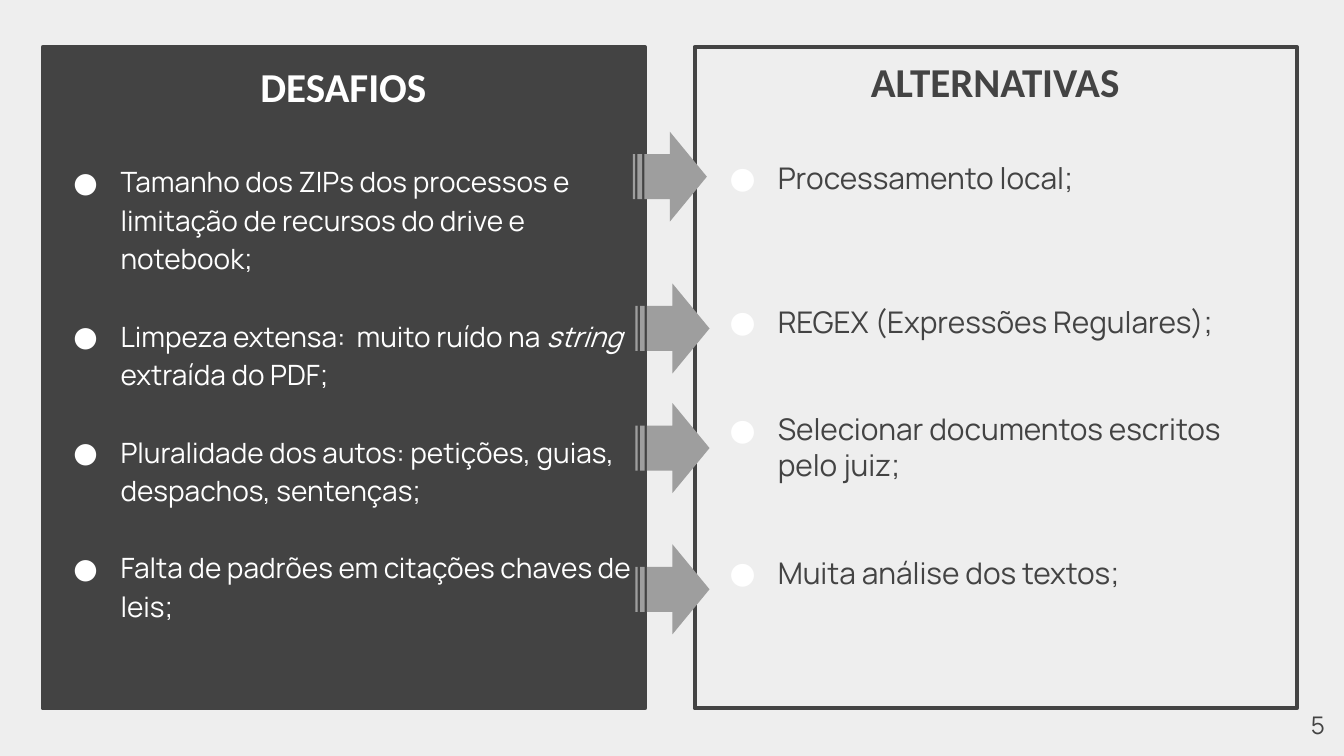
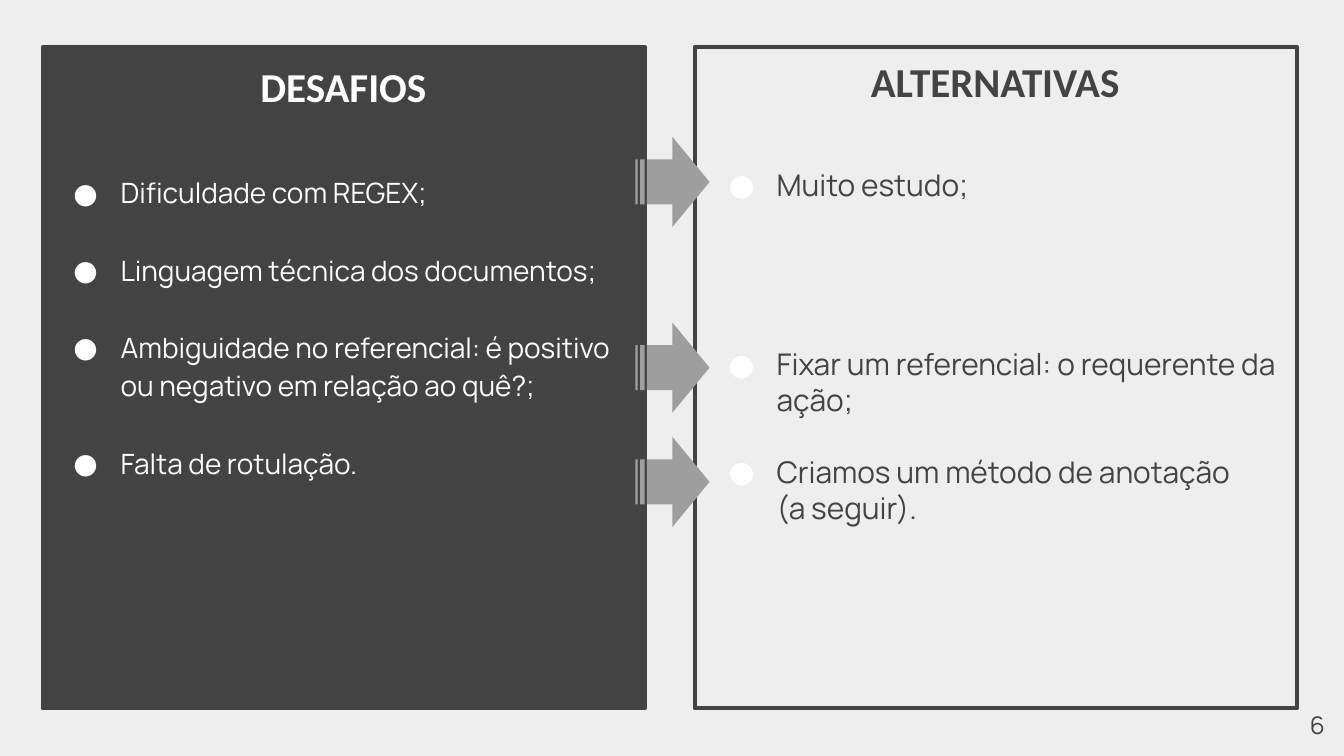
from dataclasses import dataclass

from lxml import etree
from pptx import Presentation
from pptx.dml.color import RGBColor
from pptx.enum.shapes import MSO_SHAPE
from pptx.enum.text import MSO_ANCHOR, PP_ALIGN
from pptx.oxml.ns import qn
from pptx.util import Cm, Pt

RECTANGLE = MSO_SHAPE.RECTANGLE
STRIPED_ARROW = MSO_SHAPE.STRIPED_RIGHT_ARROW
TOP, BOTTOM = MSO_ANCHOR.TOP, MSO_ANCHOR.BOTTOM
LEFT, CENTER, RIGHT = PP_ALIGN.LEFT, PP_ALIGN.CENTER, PP_ALIGN.RIGHT

PALE = RGBColor(0xEE, 0xEE, 0xEE)
DARK = RGBColor(0x43, 0x43, 0x43)
GREY = RGBColor(0x9E, 0x9E, 0x9E)
WHITE = RGBColor(0xFF, 0xFF, 0xFF)
TITLE_FONT = "Calibri"
BODY_FONT = "Manrope"
INSET = 0.25
TEXT_INDENT = Cm(1.27)
PANEL_TOP, PANEL_WIDTH, PANEL_HEIGHT = 0.89, 11.38, 12.5
ARROW_WIDTH, ARROW_HEIGHT = 1.4, 1.7


@dataclass(frozen=True)
class Box:
    """A frame in centimetres."""
    left: float
    top: float
    width: float
    height: float

    def emu(self) -> tuple:
        return Cm(self.left), Cm(self.top), Cm(self.width), Cm(self.height)


@dataclass(frozen=True)
class Style:
    size: int
    color: RGBColor
    font: str = BODY_FONT
    bold: bool = False


@dataclass(frozen=True)
class Column:
    title: str
    title_box: Box
    title_style: Style
    panel_left: float
    filled: bool
    item_style: Style
    hanging: float
    line_spacing: float
    line_pitch: float


@dataclass(frozen=True)
class Item:
    """A list entry; gap counts the free lines above it."""
    text: str
    gap: int = 0
    emphasis: str = ""
    tail: str = ""
    bullet: bool = True


@dataclass(frozen=True)
class ItemList:
    box: Box
    items: tuple
    inset_top: float = INSET


@dataclass(frozen=True)
class Arrow:
    top: float
    left: float = 12.01


@dataclass(frozen=True)
class Page:
    number: int
    challenges: ItemList
    alternatives: ItemList
    arrows: tuple


CHALLENGES = Column(
    "DESAFIOS", Box(3.25, 0.84, 6.48, 1.5), Style(22, WHITE, TITLE_FONT, True),
    0.81, True, Style(15, WHITE), 0.89, 1.15, 20.7)
ALTERNATIVES = Column(
    "ALTERNATIVAS", Box(15.57, 0.94, 6.48, 1.3), Style(22, DARK, TITLE_FONT, True),
    13.13, False, Style(16, DARK), 0.91, 1.0, 19.25)
NUMBER_BOX = Box(23.77, 13.18, 1.52, 1.09)
NUMBER_STYLE = Style(13, DARK)

PAGES = (
    Page(
        5,
        ItemList(Box(0.76, 2.77, 11.43, 11.05), (
            Item("Tamanho dos ZIPs dos processos e limitação de recursos do drive e notebook;"),
            Item("Limpeza extensa:  muito ruído na ", 1, "string", " extraída do PDF;"),
            Item("Pluralidade dos autos: petições, guias, despachos, sentenças;", 1),
            Item("Falta de padrões em citações chaves de leis;", 1),
        )),
        ItemList(Box(13.18, 2.77, 11.28, 10.77), (
            Item("Processamento local;"),
            Item("REGEX (Expressões Regulares);", 3),
            Item("Selecionar documentos escritos pelo juiz;", 2),
            Item("Muita análise dos textos;", 2),
        )),
        (Arrow(2.49, 11.96), Arrow(5.36), Arrow(7.62), Arrow(10.29)),
    ),
    Page(
        6,
        ItemList(Box(0.76, 2.34, 11.43, 11.05), (
            Item("Dificuldade com REGEX;"),
            Item("Linguagem técnica dos documentos;", 1),
            Item("Ambiguidade no referencial: é positivo ou negativo em relação ao quê?;", 1),
            Item("Falta de rotulação.", 1),
        ), inset_top=0.89),
        ItemList(Box(13.16, 2.9, 11.43, 10.24), (
            Item("Muito estudo;"),
            Item("Fixar um referencial: o requerente da ação;", 4),
            Item("Criamos um método de anotação", 1),
            Item("(a seguir).", bullet=False),
        )),
        (Arrow(8.26), Arrow(6.1), Arrow(2.59)),
    ),
)


def add_run(p, text: str, style: Style, italic: bool = False) -> None:
    r = p.add_run()
    r.text = text
    r.font.name = style.font
    r.font.size = Pt(style.size)
    r.font.bold = style.bold
    r.font.italic = italic
    r.font.color.rgb = style.color


def add_text_frame(s, box: Box, anchor=TOP, inset_top: float = INSET):
    tf = s.shapes.add_textbox(*box.emu()).text_frame
    tf.word_wrap = True
    tf.vertical_anchor = anchor
    tf.margin_left = tf.margin_right = tf.margin_bottom = Cm(INSET)
    tf.margin_top = Cm(inset_top)
    return tf


def add_label(s, text: str, box: Box, style: Style, align, anchor=TOP) -> None:
    p = add_text_frame(s, box, anchor).paragraphs[0]
    p.alignment = align
    add_run(p, text, style)


def indent(p, hanging: float, bullet: bool) -> None:
    """Set the text indent and, for a bulleted entry, its white dot."""
    pPr = p._p.get_or_add_pPr()
    pPr.set("marL", str(TEXT_INDENT))
    pPr.set("indent", str(-Cm(hanging) if bullet else 0))
    if bullet:
        color = etree.SubElement(pPr, qn("a:buClr"))
        etree.SubElement(color, qn("a:srgbClr"), val=str(WHITE))
        etree.SubElement(pPr, qn("a:buFont"), typeface=BODY_FONT)
        etree.SubElement(pPr, qn("a:buChar"), char="●")


def add_items(s, column: Column, item_list: ItemList) -> None:
    tf = add_text_frame(s, item_list.box, inset_top=item_list.inset_top)
    for i, item in enumerate(item_list.items):
        p = tf.add_paragraph() if i else tf.paragraphs[0]
        p.alignment = LEFT
        p.line_spacing = column.line_spacing
        p.space_before = Pt(item.gap * column.line_pitch)
        indent(p, column.hanging, item.bullet)
        add_run(p, item.text, column.item_style)
        if item.emphasis:
            add_run(p, item.emphasis, column.item_style, italic=True)
            add_run(p, item.tail, column.item_style)


def add_panel(s, column: Column) -> None:
    box = Box(column.panel_left, PANEL_TOP, PANEL_WIDTH, PANEL_HEIGHT)
    sp = s.shapes.add_shape(RECTANGLE, *box.emu())
    sp.shadow.inherit = False
    if column.filled:
        sp.fill.solid()
        sp.fill.fore_color.rgb = DARK
    else:
        sp.fill.background()
    sp.line.color.rgb = DARK
    sp.line.width = Pt(2.25)


def add_arrow(s, arrow: Arrow) -> None:
    box = Box(arrow.left, arrow.top, ARROW_WIDTH, ARROW_HEIGHT)
    sp = s.shapes.add_shape(STRIPED_ARROW, *box.emu())
    sp.shadow.inherit = False
    sp.fill.solid()
    sp.fill.fore_color.rgb = GREY
    sp.line.fill.background()


def add_page(prs, page: Page) -> None:
    s = prs.slides.add_slide(prs.slide_layouts[6])
    s.background.fill.solid()
    s.background.fill.fore_color.rgb = PALE
    columns = ((CHALLENGES, page.challenges), (ALTERNATIVES, page.alternatives))
    for column, _ in columns:
        add_panel(s, column)
    for column, item_list in columns:
        add_label(s, column.title, column.title_box, column.title_style, CENTER, BOTTOM)
        add_items(s, column, item_list)
    for arrow in page.arrows:
        add_arrow(s, arrow)
    add_label(s, str(page.number), NUMBER_BOX, NUMBER_STYLE, RIGHT)


def main() -> None:
    prs = Presentation()
    prs.slide_width, prs.slide_height = Cm(25.4), Cm(14.29)
    for page in PAGES:
        add_page(prs, page)
    prs.save("out.pptx")


if __name__ == "__main__":
    main()
